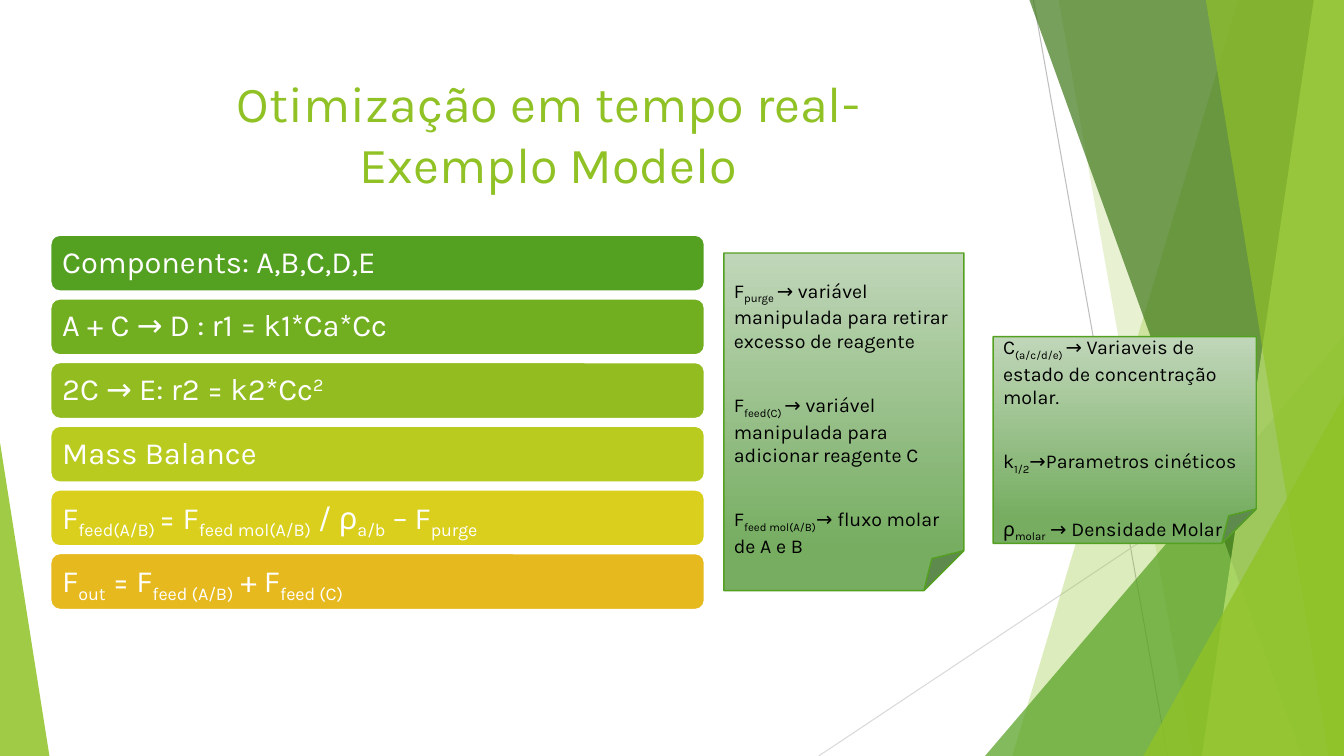
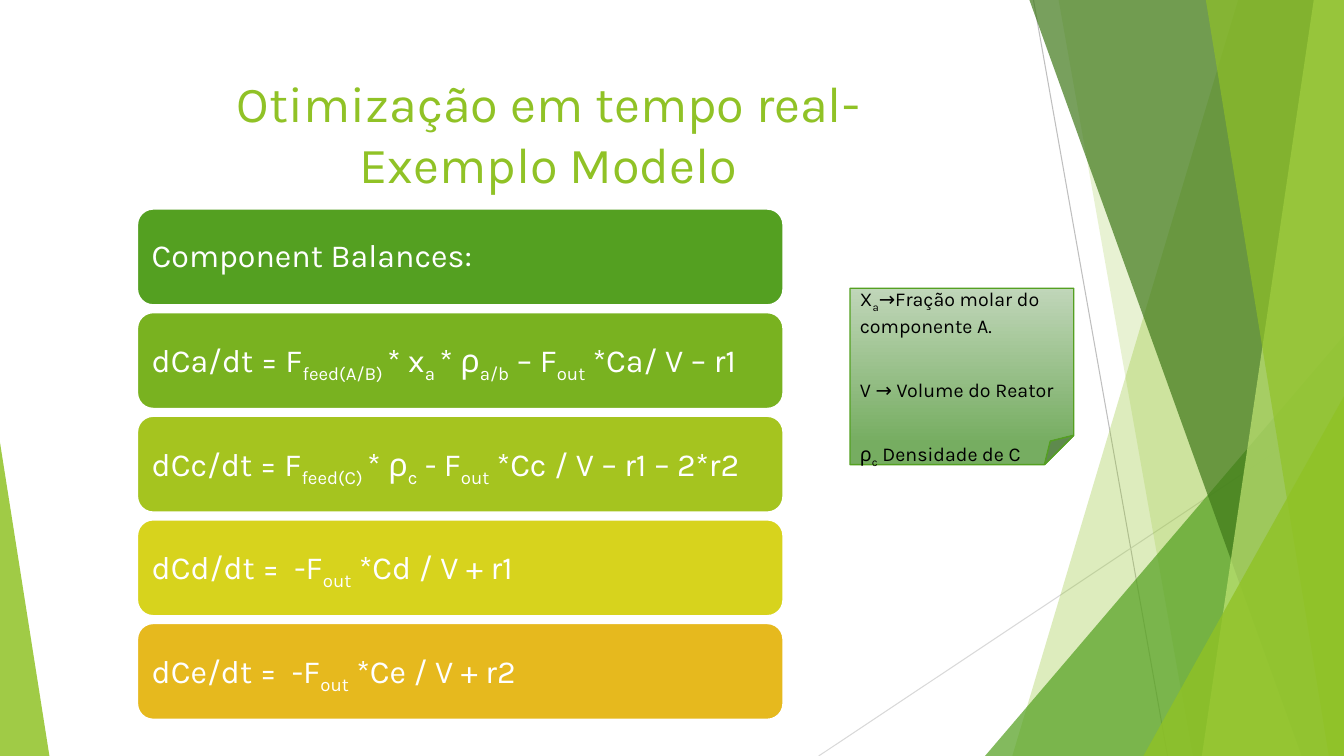
from lxml.etree import SubElement
from pptx import Presentation
from pptx.dml.color import RGBColor
from pptx.enum.shapes import MSO_CONNECTOR as Connector, MSO_SHAPE as Preset
from pptx.enum.text import MSO_ANCHOR as Anchor, PP_ALIGN as Align
from pptx.oxml.ns import qn
from pptx.util import Pt

PX = 9144
WIDTH, HEIGHT = 1333, 750
FONT = "Karla"
TITLE = ("Otimização em tempo real-", "Exemplo Modelo")
COLORS = {
    "lime": "90C226", "green": "54A021", "forest": "3F7819", "pale": "C0E474",
    "line_dark": "BFBFBF", "line_light": "D9D9D9", "white": "FFFFFF", "black": "000000",
    "note_top": "C0D6B9", "note_bottom": "76AD61",
    "leaf": "71AE20", "grass": "92BC1F", "citrus": "B9CB1E", "yellow": "DACF1C",
    "amber": "E6B91E", "fern": "79B220", "olive": "A5C41F", "lemon": "D7D31D",
}
RAYS = [("line_dark", (1025, 0, 1158, HEIGHT)), ("line_light", (WIDTH, 403, 812, HEIGHT))]
FACETS = [
    ("panel", "lime", 30, (1228, 1004)),
    ("panel", "lime", 20, (1050, 1183)),
    ("triangle", "green", 72, (977, 333, 356, 417, 1)),
    ("panel", "forest", 70, (1021, 1291)),
    ("panel", "pale", 70, (1303, 1192)),
    ("panel", "lime", 65, (1196, 1318)),
    ("triangle", "lime", 80, (1134, 393, 199, 357, 1)),
    ("triangle", "lime", 85, (0, 439, 49, 311, 0)),
]


def px(*lengths):
    """Turn px lengths into a list of EMU."""
    return [round(length * PX) for length in lengths]


def rgb(name):
    """Look up a named colour."""
    return RGBColor.from_string(COLORS[name])


def sub(text):
    """Mark text as subscript."""
    return text, -25000


def sup(text):
    """Mark text as superscript."""
    return text, 30000


def add_spans(para, spans, size, color):
    """Add plain or raised and lowered runs to a paragraph."""
    for item in spans:
        text, baseline = (item, 0) if isinstance(item, str) else item
        span = para.add_run()
        span.text = text
        span.font.name, span.font.size = FONT, Pt(size)
        span.font.color.rgb = rgb(color)
        if baseline:
            span._r.get_or_add_rPr().set("baseline", str(baseline))


def prepare_frame(shape, anchor, insets):
    """Set wrapping, anchor and insets of a shape's text."""
    frame = shape.text_frame
    frame.word_wrap = True
    frame.vertical_anchor = anchor
    (frame.margin_left, frame.margin_top,
     frame.margin_right, frame.margin_bottom) = px(*insets)
    return frame


def add_preset(page, preset, box):
    """Add a preset shape without a shadow."""
    shape = page.shapes.add_shape(preset, *px(*box))
    shape.shadow.inherit = False
    return shape


def add_panel(page, top_x, bottom_x):
    """Add a full-height panel with a slanted left edge."""
    builder = page.shapes.build_freeform(top_x, 0, scale=PX)
    builder.add_line_segments([(WIDTH, 0), (WIDTH, HEIGHT), (bottom_x, HEIGHT)], close=True)
    shape = builder.convert_to_shape()
    shape.shadow.inherit = False
    return shape


def add_backdrop(page):
    """Draw the thin rays and translucent facets."""
    for color, ends in RAYS:
        ray = page.shapes.add_connector(Connector.STRAIGHT, *px(*ends))
        ray.line.color.rgb = rgb(color)
        ray.line.width = Pt(0.75)
        SubElement(ray._element.spPr, qn("a:effectLst"))
    for kind, color, opacity, place in FACETS:
        if kind == "panel":
            facet = add_panel(page, *place)
        else:
            facet = add_preset(page, Preset.ISOSCELES_TRIANGLE, place[:4])
            facet.adjustments[0] = place[4]
        facet.fill.solid()
        facet.fill.fore_color.rgb = rgb(color)
        facet.line.fill.background()
        tint = facet._element.spPr.find(qn("a:solidFill"))[0]
        SubElement(tint, qn("a:alpha")).set("val", str(opacity * 1000))


def add_title(page, box):
    """Add the centred two-line title."""
    frame = prepare_frame(page.shapes.add_textbox(*px(*box)), Anchor.TOP, (10, 5, 10, 5))
    para = frame.paragraphs[0]
    para.alignment = Align.CENTER
    first, second = TITLE
    add_spans(para, [first], 36, "lime")
    para.add_line_break()
    add_spans(para, [second], 36, "lime")


def add_bars(page, box, size, inset, bars, gap=7):
    """Stack equal rounded bars of text in a box."""
    left, top, width, height = box
    bar_height = (height - gap * (len(bars) - 1)) / len(bars)
    for index, (color, spans) in enumerate(bars):
        bar_top = top + index * (bar_height + gap)
        bar = add_preset(page, Preset.ROUNDED_RECTANGLE, (left, bar_top, width, bar_height))
        bar.fill.solid()
        bar.fill.fore_color.rgb = rgb(color)
        bar.line.color.rgb = rgb("white")
        bar.line.width = Pt(1.5)
        para = prepare_frame(bar, Anchor.MIDDLE, [inset] * 4).paragraphs[0]
        para.alignment = Align.LEFT
        para.line_spacing = 0.9
        add_spans(para, spans, size, "white")


def add_note(page, box, entries):
    """Add a folded note with widely spaced entries."""
    note = add_preset(page, Preset.FOLDED_CORNER, box)
    note.fill.gradient()
    note.fill.gradient_angle = 270
    stops = zip(note.fill.gradient_stops, ("note_top", "note_bottom"), (0, 0.88))
    for stop, color, position in stops:
        stop.color.rgb = rgb(color)
        stop.position = position
    note.line.color.rgb = rgb("green")
    note.line.width = Pt(1)
    frame = prepare_frame(note, Anchor.MIDDLE, (10, 37, 10, 5))
    for index, spans in enumerate(entries):
        para = frame.add_paragraph() if index else frame.paragraphs[0]
        para.alignment = Align.LEFT
        para.space_before = Pt(23 if index else 0)
        para.space_after = Pt(6)
        add_spans(para, spans, 14, "black")


def add_page(deck):
    """Add a blank page with the shared backdrop and title."""
    page = deck.slides.add_slide(deck.slide_layouts[6])
    add_backdrop(page)
    add_title(page, (74, 67, 940, 144))
    return page


def add_model_page(deck):
    """Build the page of reactions and mass balance."""
    page = add_page(deck)
    add_bars(page, (50, 233, 649, 372), 22, 9, [
        ("green", ["Components: A,B,C,D,E"]),
        ("leaf", ["A + C → D : r1 = k1*Ca*Cc"]),
        ("grass", ["2C → E: r2 = k2*Cc", sup("2")]),
        ("citrus", ["Mass Balance"]),
        ("yellow", ["F", sub("feed(A/B) "), "= F", sub("feed mol(A/B)"), " / ρ",
                    sub("a/b"), " – F", sub("purge")]),
        ("amber", ["F", sub("out"), " = F", sub("feed (A/B)"), " + F", sub("feed (C)")]),
    ])
    add_note(page, (718, 251, 238, 335), [
        ["F", sub("purge "), "→ variável manipulada para retirar excesso de reagente"],
        ["F", sub("feed(C) "), "→ variável manipulada para adicionar reagente C"],
        ["F", sub("feed mol(A/B)"), "→ fluxo molar de A e B"],
    ])
    add_note(page, (985, 334, 261, 205), [
        ["C", sub("(a/c/d/e) "), "→ Variaveis de estado de concentração molar."],
        ["k", sub("1/2"), "→Parametros cinéticos"],
        ["ρ", sub("molar"), " → Densidade Molar"],
    ])


def add_balance_page(deck):
    """Build the page of component balances."""
    page = add_page(deck)
    add_bars(page, (136, 207, 641, 507), 23, 10, [
        ("green", ["Component Balances:"]),
        ("fern", ["dCa/dt = F", sub("feed(A/B) "), "* x", sub("a "), "* ρ", sub("a/b"),
                  " – F", sub("out"), " *Ca/ V – r1"]),
        ("olive", ["dCc/dt = F", sub("feed(C) "), "* ρ", sub("c"), " - F", sub("out"),
                   " *Cc / V – r1 – 2*r2"]),
        ("lemon", ["dCd/dt =  -F", sub("out"), " *Cd / V + r1"]),
        ("amber", ["dCe/dt =  -F", sub("out"), " *Ce / V + r2"]),
    ])
    add_note(page, (843, 286, 222, 175), [
        ["X", sub("a"), "→Fração molar do componente A."],
        ["V → Volume do Reator"],
        ["ρ", sub("c"), " Densidade de C"],
    ])


def main():
    """Build and save the deck."""
    deck = Presentation()
    deck.slide_width, deck.slide_height = px(WIDTH, HEIGHT)
    add_model_page(deck)
    add_balance_page(deck)
    deck.save("out.pptx")


if __name__ == "__main__":
    main()
